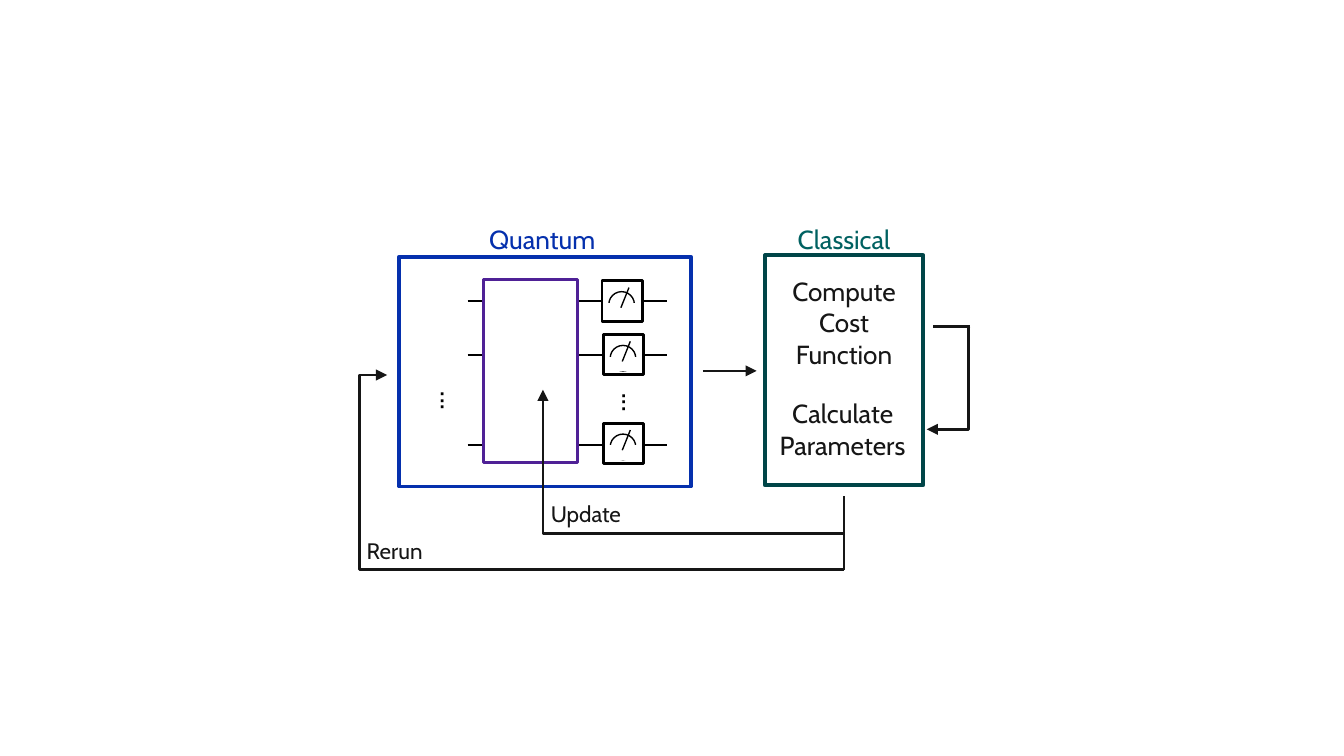
"""Build a slide showing a hybrid loop between a quantum circuit and a classical computer."""
from lxml import etree
from pptx import Presentation, util as u
from pptx.dml.color import RGBColor
from pptx.enum import shapes, text
from pptx.oxml.ns import qn

COLOURS = {
    "quantum": "0530AD",
    "classical": "006161",
    "classical_frame": "004548",
    "ansatz": "4F2196",
    "ink": "161616",
    "black": "000000",
    "white": "FFFFFF",
}


class Diagram:
    def __init__(self, slide, font="Cabin", scale=9144):
        self.slide = slide
        self.font = font
        self.scale = scale

    def emu(self, *lengths):
        return [u.Emu(length * self.scale) for length in lengths]

    def colour(self, name):
        return RGBColor.from_string(COLOURS[name])

    def box(self, bounds, line, width, fill=None, kind=shapes.MSO_SHAPE.RECTANGLE):
        shape = self.slide.shapes.add_shape(kind, *self.emu(*bounds))
        shape.shadow.inherit = False
        if fill:
            shape.fill.solid()
            shape.fill.fore_color.rgb = self.colour(fill)
        else:
            shape.fill.background()
        shape.line.color.rgb = self.colour(line)
        shape.line.width = u.Pt(width)

    def line(self, start, end, colour="ink", width=1.5, arrow=False,
             kind=shapes.MSO_CONNECTOR.STRAIGHT):
        connector = self.slide.shapes.add_connector(kind, *self.emu(*start, *end))
        connector.line.color.rgb = self.colour(colour)
        connector.line.width = u.Pt(width)
        if arrow:
            etree.SubElement(connector.line._get_or_add_ln(), qn("a:tailEnd"), type="triangle")
        etree.SubElement(connector._element.spPr, qn("a:effectLst"))
        return connector

    def elbow(self, bounds, turn, preset, bend=None):
        left, top, width, height = bounds
        connector = self.line((left, top), (left + width, top + height), arrow=True,
                              kind=shapes.MSO_CONNECTOR.ELBOW)
        properties = connector._element.spPr
        properties.find(qn("a:xfrm")).set("rot", str(turn * 60000))
        geometry = properties.find(qn("a:prstGeom"))
        geometry.set("prst", preset)
        if bend is not None:
            guides = geometry.find(qn("a:avLst"))
            etree.SubElement(guides, qn("a:gd"), name="adj1", fmla=f"val {round(bend * 100000)}")

    def label(self, words, bounds, size, colour="ink", align=text.PP_ALIGN.LEFT,
              wrap=True, inset=True, spacing=None, turn=0):
        shape = self.slide.shapes.add_textbox(*self.emu(*bounds))
        shape.rotation = turn
        frame = shape.text_frame
        frame.word_wrap = wrap
        frame.auto_size = text.MSO_AUTO_SIZE.SHAPE_TO_FIT_TEXT
        if not inset:
            frame.margin_left = frame.margin_right = frame.margin_top = frame.margin_bottom = 0
        paragraph = frame.paragraphs[0]
        paragraph.text = words
        paragraph.alignment = align
        if spacing:
            paragraph.line_spacing = spacing
        paragraph.font.name = self.font
        paragraph.font.size = u.Pt(size)
        paragraph.font.color.rgb = self.colour(colour)

    def meter(self, left, top):
        self.box((left, top, 30, 30), "black", 1.5, "white")
        self.box((left + 5, top + 8, 19, 19), "black", 0.75, kind=shapes.MSO_SHAPE.OVAL)
        self.box((left + 3, top + 17, 23, 10), "white", 0.75, "white")
        self.line((left + 20, top + 5), (left + 14, top + 20), "black", 0.75)


def main():
    presentation = Presentation()
    slide = presentation.slides.add_slide(presentation.slide_layouts[6])
    diagram = Diagram(slide)
    presentation.slide_width = u.Inches(10)
    presentation.slide_height = presentation.slide_width * 9 // 16
    center = text.PP_ALIGN.CENTER

    diagram.box((569, 190, 118, 171), "classical_frame", 2)
    diagram.box((297, 191, 217, 171), "quantum", 2)
    for words, left, width, colour, align in (
            ("Quantum", 364, 82, "quantum", text.PP_ALIGN.LEFT),
            ("Classical", 589, 78, "classical", center)):
        diagram.label(words, (left, 164, width, 24), 14, colour, align,
                      wrap=False, inset=False, spacing=1.1)
    diagram.label("Compute Cost Function", (572, 200, 112, 81), 14, align=center)
    diagram.label("Calculate Parameters", (565, 291, 124, 57), 14, align=center)

    meters = ((224, 448, 209), (264, 449, 249), (331, 449, 315))
    for wire, _, _ in meters:
        diagram.line((348, wire), (496, wire), "black", 1)
    diagram.box((360, 208, 70, 136), "ansatz", 1.5, "white")
    for _, left, top in meters:
        diagram.meter(left, top)
    for left, top in ((299, 274), (434, 275)):
        diagram.label("...", (left, top, 44, 39), 17, "black", turn=270)

    diagram.line((523, 276), (563, 276), arrow=True)
    diagram.line((722, 243), (694, 243))
    diagram.elbow((667, 266, 76, 31), 90, "bentConnector2")
    diagram.elbow((404, 290, 223, 107), 180, "bentConnector3", 1)
    diagram.elbow((288, 279, 340, 145), 180, "bentConnector3", 1.06)
    diagram.line((628, 424), (628, 369))
    diagram.label("Update", (400, 367, 75, 30), 12, wrap=False)
    diagram.label("Rerun", (263, 395, 66, 30), 12, wrap=False)

    presentation.save("out.pptx")


if __name__ == "__main__":
    main()
